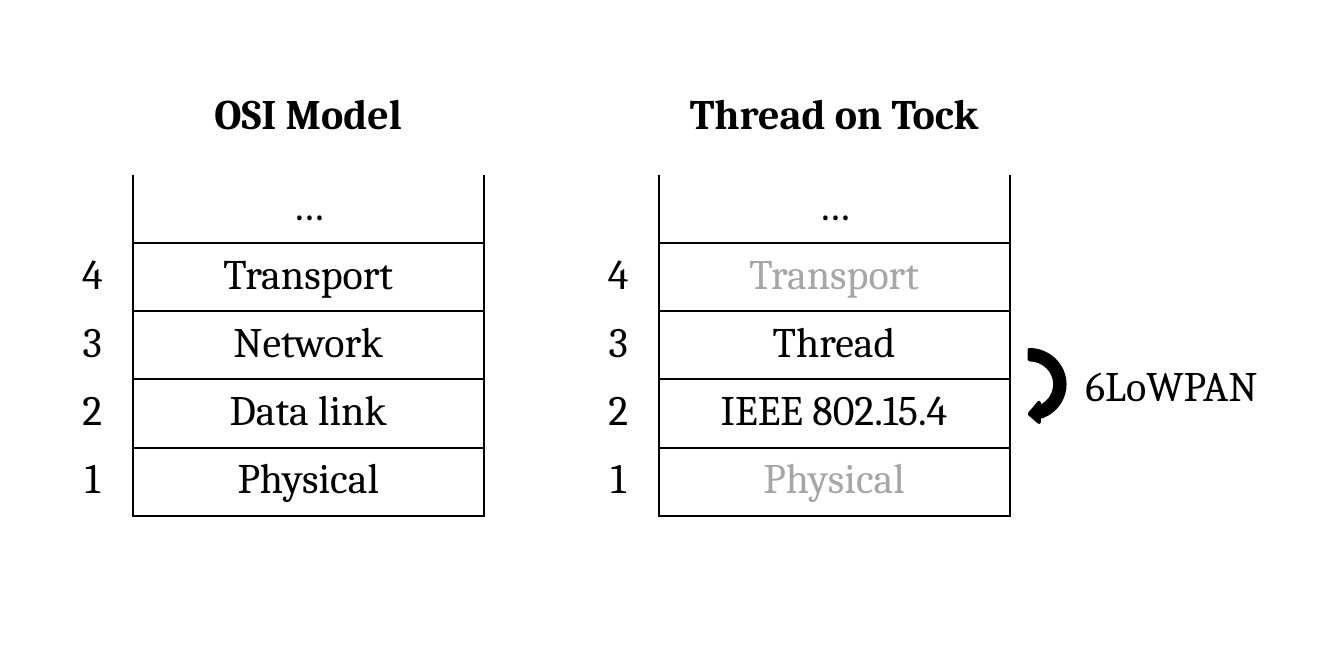
from lxml import etree
from pptx import Presentation
from pptx import util as u
from pptx.dml.color import RGBColor
from pptx.enum import shapes, text
from pptx.oxml import ns

COLORS = {"ink": "000000", "muted": "A6A6A6"}
FONT = "Cambria"
STACKS = [
    ("OSI Model", [("…", "ink"), ("Transport", "ink"), ("Network", "ink"),
                   ("Data link", "ink"), ("Physical", "ink")]),
    ("Thread on Tock", [("…", "ink"), ("Transport", "muted"), ("Thread", "ink"),
                        ("IEEE 802.15.4", "ink"), ("Physical", "muted")]),
]
ADAPTATION = "6LoWPAN"

WIDTH, HEIGHT = 8, 4
LEFT, TOP, PITCH = 0.31, 1.04, 3.13
NUMBER_W, LAYER_W = 0.48, 2.09
ROW_H = 2.03 / 5
TITLE_Y, LABEL_H = 0.47, 0.4
ARROW_W, ARROW_H = 0.47, 0.48


def write(tf, words, color="ink", bold=False, align=text.PP_ALIGN.CENTER):
    p = tf.paragraphs[0]
    p.alignment = align
    r = p.add_run()
    r.text = words
    r.font.name, r.font.size, r.font.bold = FONT, u.Pt(18), bold
    r.font.color.rgb = RGBColor.from_string(COLORS[color])


def add_label(s, words, x, y, w, **fmt):
    tf = s.shapes.add_textbox(*map(u.Inches, (x, y, w, LABEL_H))).text_frame
    tf.word_wrap = True
    tf.auto_size = text.MSO_AUTO_SIZE.SHAPE_TO_FIT_TEXT
    write(tf, words, **fmt)


def style_cell(cell, sides):
    tc_pr = cell._tc.get_or_add_tcPr()
    for side in "LRTB":
        ln = etree.SubElement(tc_pr, ns.qn(f"a:ln{side}"), w=str(u.Pt(1)))
        if side in sides:
            fill = etree.SubElement(ln, ns.qn("a:solidFill"))
            etree.SubElement(fill, ns.qn("a:srgbClr"), val=COLORS["ink"])
        else:
            etree.SubElement(ln, ns.qn("a:noFill"))
    cell.fill.background()


def add_stack(s, title, layers, x):
    add_label(s, title, x + NUMBER_W, TITLE_Y, LAYER_W, bold=True)
    n = len(layers)
    box = map(u.Inches, (x, TOP, NUMBER_W + LAYER_W, n * ROW_H))
    table = s.shapes.add_table(n, 2, *box).table
    table.first_row = table.horz_banding = False
    for col, w in zip(table.columns, (NUMBER_W, LAYER_W)):
        col.width = u.Inches(w)
    for i, (name, color) in enumerate(layers):
        table.rows[i].height = u.Inches(ROW_H)
        number, layer = table.cell(i, 0), table.cell(i, 1)
        write(number.text_frame, str(n - i) if i else "")
        write(layer.text_frame, name, color=color)
        style_cell(number, "R")
        style_cell(layer, "LRTB" if i else "LRB")


def add_arrow(s, x, y):
    sp = s.shapes.add_shape(shapes.MSO_SHAPE.CIRCULAR_ARROW,
                            *map(u.Inches, (x, y, ARROW_W, ARROW_H)))
    sp.rotation = 90
    sp.shadow.inherit = False
    ink = RGBColor.from_string(COLORS["ink"])
    sp.fill.solid()
    sp.fill.fore_color.rgb = ink
    sp.line.color.rgb = ink
    sp.line.width = u.Pt(1.5)


def main():
    prs = Presentation()
    prs.slide_width, prs.slide_height = u.Inches(WIDTH), u.Inches(HEIGHT)
    s = prs.slides.add_slide(prs.slide_layouts[6])
    for i, (title, layers) in enumerate(STACKS):
        add_stack(s, title, layers, LEFT + i * PITCH)
    arrow_x = LEFT + PITCH + NUMBER_W + LAYER_W - ARROW_W / 4
    middle = TOP + 3 * ROW_H + 0.03
    add_arrow(s, arrow_x, middle - ARROW_H / 2)
    label_x = arrow_x + ARROW_W
    add_label(s, ADAPTATION, label_x, middle - LABEL_H / 2, WIDTH - label_x,
              align=text.PP_ALIGN.LEFT)
    prs.save("out.pptx")


if __name__ == "__main__":
    main()
